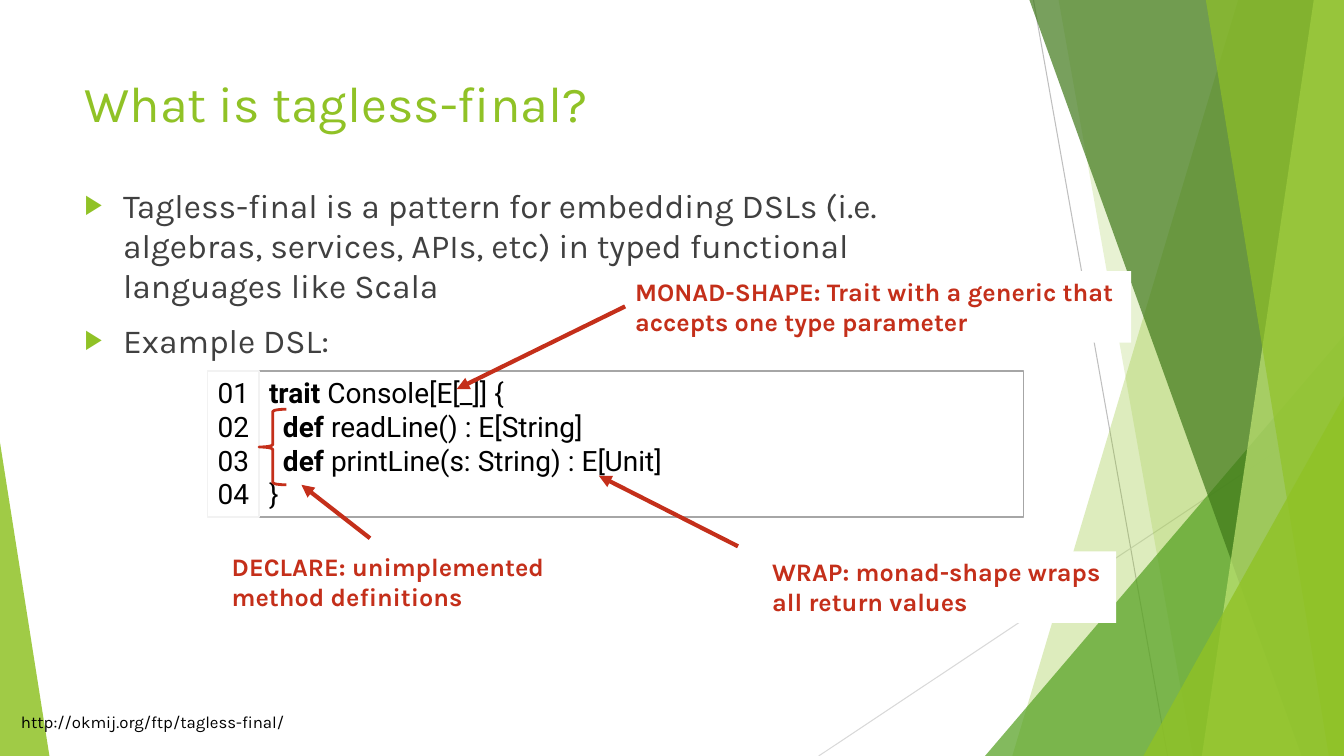
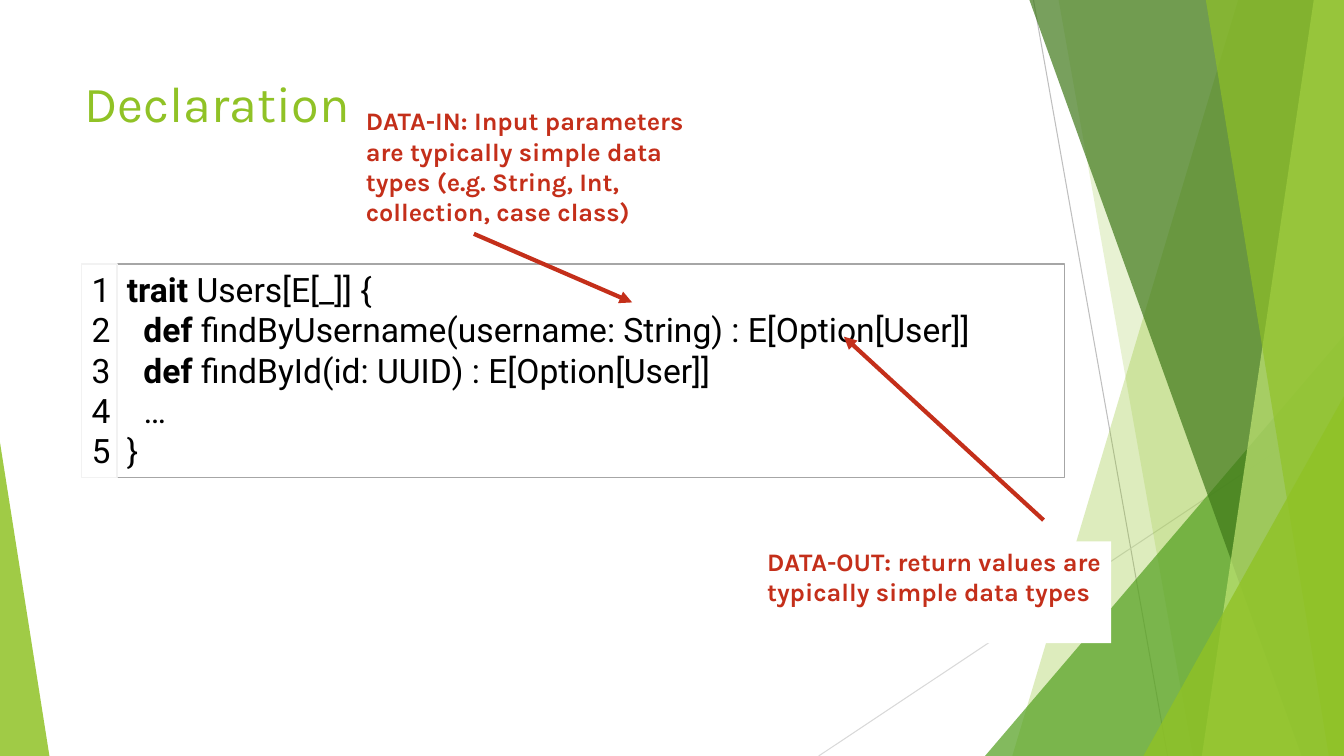
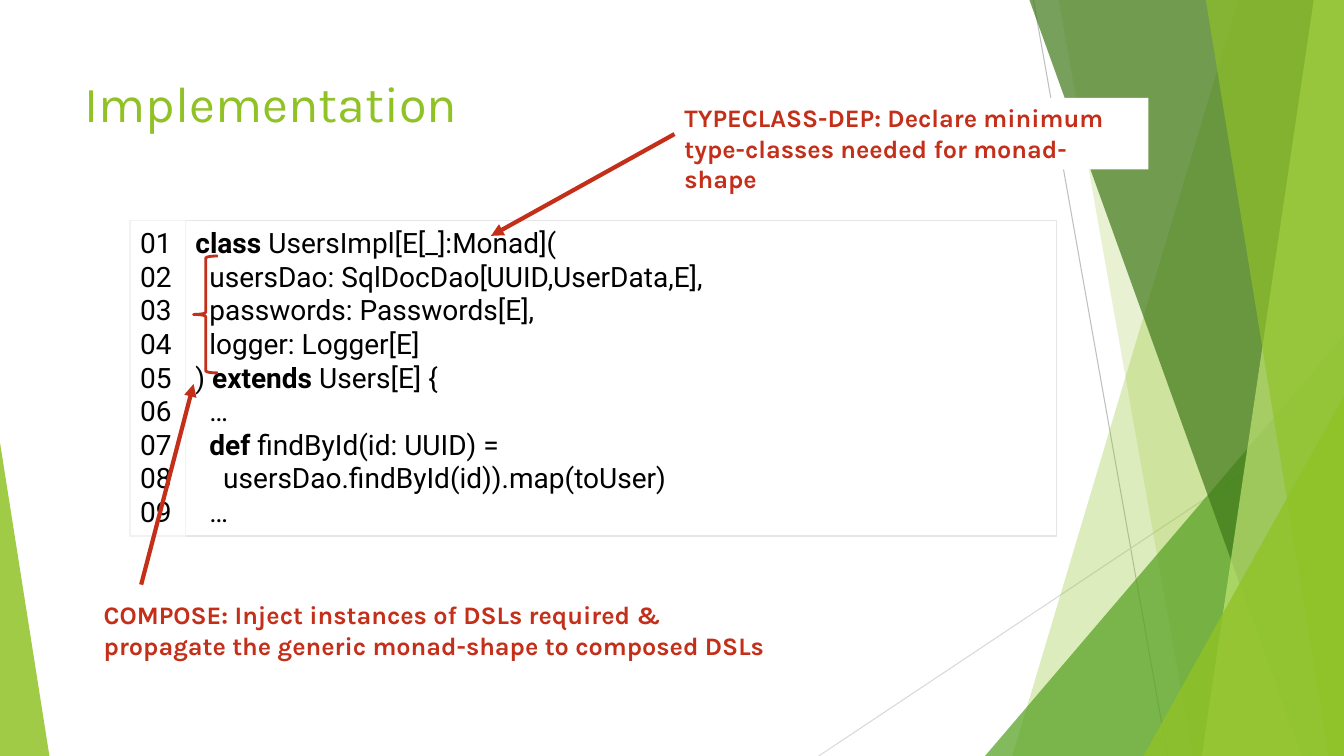
"""Build three slides that explain the tagless-final pattern."""
from dataclasses import dataclass
from itertools import groupby

from lxml.etree import SubElement
from pptx import Presentation
from pptx.dml.color import RGBColor
from pptx.enum.shapes import MSO_CONNECTOR as Conn, MSO_SHAPE as Form
from pptx.enum.text import MSO_ANCHOR as Anchor, MSO_AUTO_SIZE as Auto, PP_ALIGN as Align
from pptx.oxml.ns import qn
from pptx.util import Inches, Pt


@dataclass(frozen=True)
class Theme:
    """Hold the colours, fonts and type sizes."""
    lime: str = "90C226"
    leaf: str = "54A021"
    moss: str = "3F7819"
    pale: str = "C0E474"
    white: str = "FFFFFF"
    black: str = "000000"
    body: str = "404040"
    red: str = "C42F1A"
    rule: str = "BFBFBF"
    faint: str = "D9D9D9"
    edge: str = "A6A6A6"
    soft: str = "E6E6E6"
    thin: str = "F2F2F2"
    sans: str = "Karla"
    mono: str = "Roboto"
    head: int = 36
    list: int = 24
    note: int = 18
    foot: int = 12


T = Theme()
WIDE, HIGH = 13.33, 7.5
KEYS = {"trait", "def", "class", "extends"}

RULES = [(10.25, 0, 11.58, HIGH, T.rule), (WIDE, 4.03, 8.12, HIGH, T.faint)]
BANDS = [
    ("free", 12.28, 10.04, T.lime, 30),
    ("free", 10.5, 11.83, T.lime, 20),
    ("tri", (9.77, 3.33, 3.56, 4.17), 1, T.leaf, 72),
    ("free", 10.21, 12.91, T.moss, 70),
    ("free", 13.03, 11.92, T.pale, 70),
    ("free", 11.96, 13.18, T.lime, 65),
    ("tri", (11.34, 3.93, 1.99, 3.57), 1, T.lime, 80),
    ("tri", (0, 4.39, 0.49, 3.11), 0, T.lime, 85),
]

SLIDES = [
    dict(
        title="What is tagless-final?", tall=0.91,
        points=["Tagless-final is a pattern for embedding DSLs (i.e. algebras, services, "
                "APIs, etc) in typed functional languages like Scala",
                "Example DSL:"],
        code=["trait Console[E[_]] {",
              "  def readLine() : E[String]",
              "  def printLine(s: String) : E[Unit]",
              "}"],
        at=(2.57, 3.68, 7.58, 1.45), gutter=0.51, digits=2, size=20, edge=T.edge,
        link="http://okmij.org/ftp/tagless-final/",
        notes=[
            (["MONAD-SHAPE: Trait with a generic that accepts one type parameter"],
             (6.2, 2.69, 5.02, 0.71), T.white),
            (["DECLARE: unimplemented method definitions"], (2.2, 5.42, 3.51, 0.71), None),
            (["WRAP: monad-shape wraps all return values"], (7.56, 5.47, 3.51, 0.71), T.white)],
        arrows=[(6.2, 3.04, 4.53, 3.86), (3.67, 5.34, 2.99, 4.81), (7.32, 5.42, 5.94, 4.72)],
        brace=(2.57, 4.06, 0.27, 0.75)),
    dict(
        title="Declaration", tall=1.44,
        code=["trait Users[E[_]] {",
              "  def findByUsername(username: String) : E[Option[User]]",
              "  def findById(id: UUID) : E[Option[User]]",
              "  …",
              "}"],
        at=(1.16, 2.62, 9.4, 2.12), gutter=0.35, digits=1, size=24, edge=T.edge,
        notes=[
            (["DATA-IN: Input parameters are typically simple data types "
              "(e.g. String, Int, collection, case class)"], (3.53, 1, 3.51, 1.31), None),
            (["DATA-OUT: return values are typically simple data types"],
             (7.51, 5.37, 3.51, 1.01), T.white)],
        arrows=[(10.35, 5.16, 8.37, 3.34), (4.7, 2.32, 6.27, 3)]),
    dict(
        title="Implementation", tall=0.91,
        code=["class UsersImpl[E[_]:Monad](",
              "  usersDao: SqlDocDao[UUID,UserData,E],",
              "  passwords: Passwords[E],",
              "  logger: Logger[E]",
              ") extends Users[E] {",
              "  …",
              "  def findById(id: UUID) =",
              "    usersDao.findById(id)).map(toUser)",
              "  …"],
        at=(1.84, 2.19, 8.64, 3.13), gutter=0.55, digits=2, size=20, edge=T.soft,
        notes=[
            (["TYPECLASS-DEP: Declare minimum type-classes needed for monad-shape"],
             (6.69, 0.97, 4.7, 0.71), T.white),
            (["COMPOSE: Inject instances of DSLs required &",
              "propagate the generic monad-shape to composed DSLs"],
             (0.93, 5.9, 6.85, 0.71), T.white)],
        arrows=[(6.69, 1.33, 4.87, 2.34), (1.4, 5.8, 1.92, 3.81)],
        brace=(1.92, 2.54, 0.24, 1.16)),
]


def ink(name):
    return RGBColor.from_string(name)


def inch(nums):
    return [Inches(n) for n in nums]


def place(shape, spot):
    shape.left, shape.top, shape.width, shape.height = inch(spot)


def bullet(para):
    props = para._p.get_or_add_pPr()
    props.set("marL", str(Inches(0.38)))
    props.set("indent", str(Inches(-0.38)))
    tint = SubElement(props, qn("a:buClr"))
    SubElement(tint, qn("a:srgbClr"), val=T.lime)
    SubElement(props, qn("a:buSzPct"), val="80000")
    SubElement(props, qn("a:buChar"), char="▶")


def write(shape, lines, size, color, font=T.sans, bold=False, keys=(), dots=False,
          gap=0, wrap=True, right=0.1):
    """Fill a shape with one paragraph a line, with key words in bold."""
    frame = shape.text_frame
    frame.word_wrap, frame.auto_size = wrap, Auto.NONE
    frame.vertical_anchor = Anchor.TOP
    frame.margin_right = Inches(right)
    for row, line in enumerate(lines):
        para = frame.add_paragraph() if row else frame.paragraphs[0]
        if dots:
            bullet(para)
        para.alignment = Align.LEFT
        para.space_before = Pt(gap if row else 0)
        words = line.split(" ")
        words = [word + " " for word in words[:-1]] + words[-1:]
        for key, part in groupby(words, lambda word: word.strip() in keys):
            run = para.add_run()
            run.text = "".join(part)
            run.font.name, run.font.size = font, Pt(size)
            run.font.bold = bold or key
            run.font.color.rgb = ink(color)


def paint(shape, fill=None, line=None, width=1, alpha=None):
    shape.shadow.inherit = False
    if fill:
        shape.fill.solid()
        shape.fill.fore_color.rgb = ink(fill)
        if alpha:
            tint = shape.element.find(".//" + qn("a:srgbClr"))
            SubElement(tint, qn("a:alpha"), val=str(alpha * 1000))
    else:
        shape.fill.background()
    if line:
        shape.line.color.rgb = ink(line)
        shape.line.width = Pt(width)
    else:
        shape.line.fill.background()


def stroke(shapes, ends, color, width, tip=False):
    line = shapes.add_connector(Conn.STRAIGHT, *inch(ends))
    line.line.color.rgb = ink(color)
    line.line.width = Pt(width)
    if tip:
        SubElement(line.line._get_or_add_ln(), qn("a:tailEnd"), type="triangle")
    SubElement(line.element.spPr, qn("a:effectLst"))


def block(shapes, spot, fill, line=None, form=Form.RECTANGLE, width=1):
    shape = shapes.add_shape(form, *inch(spot))
    paint(shape, fill, line, width)
    return shape


def decor(slide, master):
    """Draw the shared bands as one group and move it to the master."""
    group = slide.shapes.add_group_shape()
    for *ends, color in RULES:
        stroke(group.shapes, ends, color, 0.75)
    for kind, start, end, color, alpha in BANDS:
        if kind == "free":
            pen = group.shapes.build_freeform(Inches(start), 0)
            pen.add_line_segments([inch(spot) for spot in
                                   ((WIDE, 0), (WIDE, HIGH), (end, HIGH))])
            shape = pen.convert_to_shape()
        else:
            shape = group.shapes.add_shape(Form.ISOSCELES_TRIANGLE, *inch(start))
            shape.adjustments[0] = end
        paint(shape, color, alpha=alpha)
    master.shapes.element.insert(2, group.element)


def listing(shapes, page):
    left, top, width, height = page["at"]
    wide, size = page["gutter"], page["size"]
    code = block(shapes, page["at"], T.white, page["edge"])
    write(code, page["code"], size, T.black, T.mono, keys=KEYS, right=0)
    nums = [f"{n:0{page['digits']}}" for n in range(1, len(page["code"]) + 1)]
    side = block(shapes, (left - wide, top, wide, height), T.white, T.thin)
    write(side, nums, size, T.black, T.mono, right=0)


def build(deck, page):
    points = page.get("points")
    slide = deck.slides.add_slide(deck.slide_layouts[1 if points else 5])
    shapes = slide.shapes
    place(shapes.title, (0.74, 0.67, 9.4, page["tall"]))
    write(shapes.title, [page["title"]], T.head, T.lime)
    if points:
        body = slide.placeholders[1]
        place(body, (0.74, 1.78, 9.4, 4.83))
        write(body, points, T.list, T.body, dots=True, gap=10)
    listing(shapes, page)
    if "link" in page:
        foot = shapes.add_textbox(*inch((0.11, 7.01, 2.88, 0.3)))
        write(foot, [page["link"]], T.foot, T.black, wrap=False)
    for lines, spot, fill in page["notes"]:
        note = block(shapes, spot, fill) if fill else shapes.add_textbox(*inch(spot))
        write(note, lines, T.note, T.red, bold=True)
    for ends in page["arrows"]:
        stroke(shapes, ends, T.red, 3, tip=True)
    if "brace" in page:
        block(shapes, page["brace"], None, T.red, Form.LEFT_BRACE, 2)
    return slide


def main():
    deck = Presentation()
    deck.slide_width, deck.slide_height = inch((WIDE, HIGH))
    slides = [build(deck, page) for page in SLIDES]
    decor(slides[0], deck.slide_master)
    deck.save("out.pptx")


if __name__ == "__main__":
    main()
